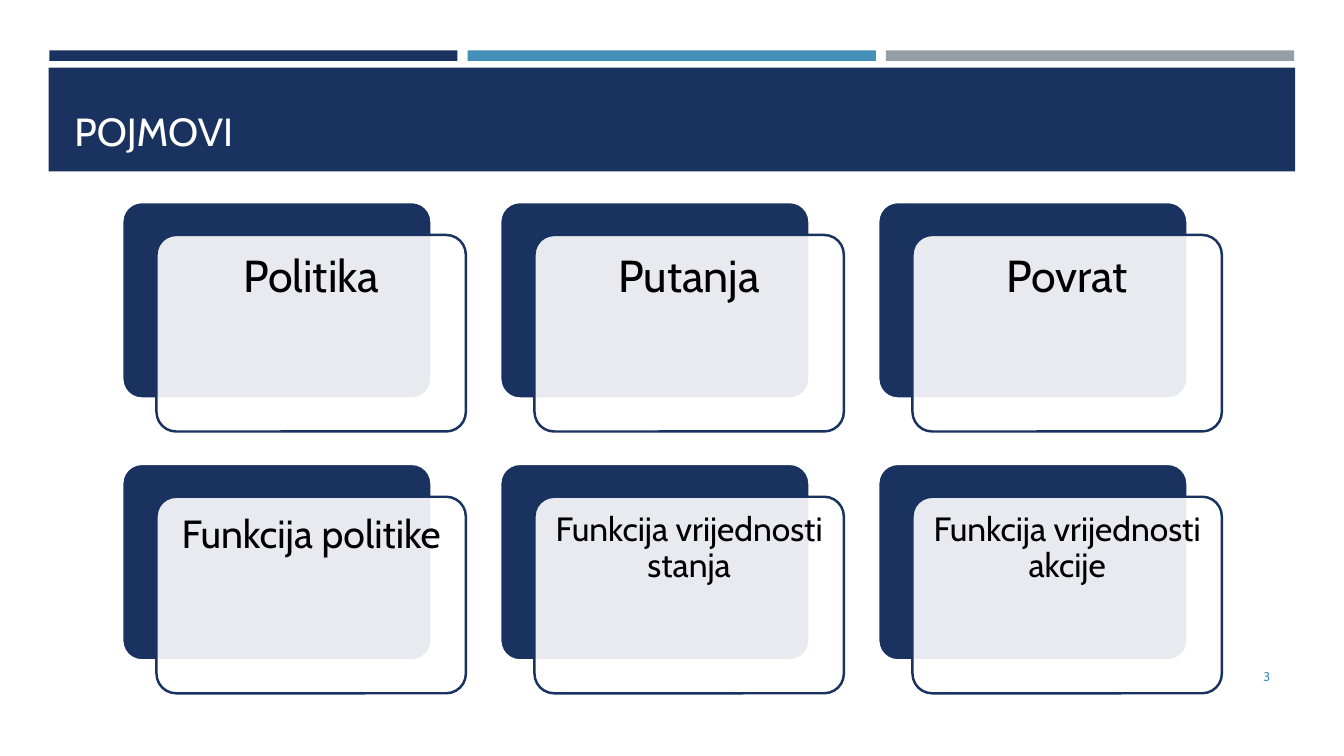
from lxml.etree import SubElement
from pptx import Presentation
from pptx.dml.color import RGBColor
from pptx.enum.shapes import MSO_SHAPE as SHAPE
from pptx.enum.text import MSO_ANCHOR as ANCHOR, PP_ALIGN as ALIGN
from pptx.oxml.ns import qn
from pptx.util import Pt

NAVY, BLUE, GRAY, WHITE, BLACK = "1A3260", "4590B8", "969FA7", "FFFFFF", "000000"


def rgb(value):
    return RGBColor.from_string(value)


def put_text(sp, text, size=24, color=BLACK, align=ALIGN.LEFT,
             anchor=ANCHOR.TOP, inset=None, spacing=None):
    tf = sp.text_frame
    tf.word_wrap = True
    tf.vertical_anchor = anchor
    if inset is not None:
        tf.margin_left = tf.margin_right = Pt(inset)
        tf.margin_top = tf.margin_bottom = Pt(inset)
    p = tf.paragraphs[0]
    p.alignment = align
    p.line_spacing = spacing
    r = p.add_run()
    r.text = text
    r.font.name = "Cabin"
    r.font.size = Pt(size)
    r.font.color.rgb = rgb(color)


class Deck:
    """Draws the elements of one slide in a shared style."""

    def __init__(self):
        self.prs = Presentation()
        self.prs.slide_width, self.prs.slide_height = Pt(960), Pt(540)
        self.s = self.prs.slides.add_slide(self.prs.slide_layouts[6])

    def box(self, x, y, w, h, fill, line=None, kind=SHAPE.RECTANGLE):
        sp = self.s.shapes.add_shape(kind, Pt(x), Pt(y), Pt(w), Pt(h))
        sp.shadow.inherit = False
        sp.fill.solid()
        sp.fill.fore_color.rgb = rgb(fill)
        if line:
            sp.line.color.rgb = rgb(line)
            sp.line.width = Pt(1.75)
        else:
            sp.line.fill.background()
        return sp

    def rounded(self, x, y, fill, line):
        sp = self.box(x, y, 221, 140.4, fill, line, SHAPE.ROUNDED_RECTANGLE)
        sp.adjustments[0] = 0.1
        return sp

    def label(self, x, y, w, h, text, **fmt):
        put_text(self.s.shapes.add_textbox(Pt(x), Pt(y), Pt(w), Pt(h)), text, **fmt)

    def card(self, x, y, text, size):
        self.rounded(x, y, NAVY, WHITE)
        sp = self.rounded(x + 24.5, y + 23.5, WHITE, NAVY)
        color = sp.fill._xPr.find(qn("a:solidFill"))[0]
        SubElement(color, qn("a:alpha"), val="90000")
        put_text(sp, text, size=size, align=ALIGN.CENTER, inset=0.3 * size, spacing=0.9)


def main():
    deck = Deck()
    for i, color in enumerate((NAVY, BLUE, GRAY)):
        deck.box(35.2 + 298.8 * i, 36, 291.6, 7.6, color)
    deck.box(34.8, 48.4, 890.4, 74, NAVY)
    deck.label(46.1, 55.4, 868.3, 58.3, "POJMOVI", size=28, color="FFFEFF",
               anchor=ANCHOR.BOTTOM)
    deck.label(831.6, 468.7, 82.8, 28.8, "3", size=9, color=BLUE,
               align=ALIGN.RIGHT, anchor=ANCHOR.MIDDLE)

    terms = [("Politika", 32), ("Putanja", 32), ("Povrat", 32),
             ("Funkcija politike", 28), ("Funkcija vrijednosti stanja", 24),
             ("Funkcija vrijednosti akcije", 24)]
    for i, (term, size) in enumerate(terms):
        row, col = divmod(i, 3)
        deck.card(87.3 + 270 * col, 144.3 + 187 * row, term, size)
    deck.prs.save("out.pptx")


if __name__ == "__main__":
    main()
